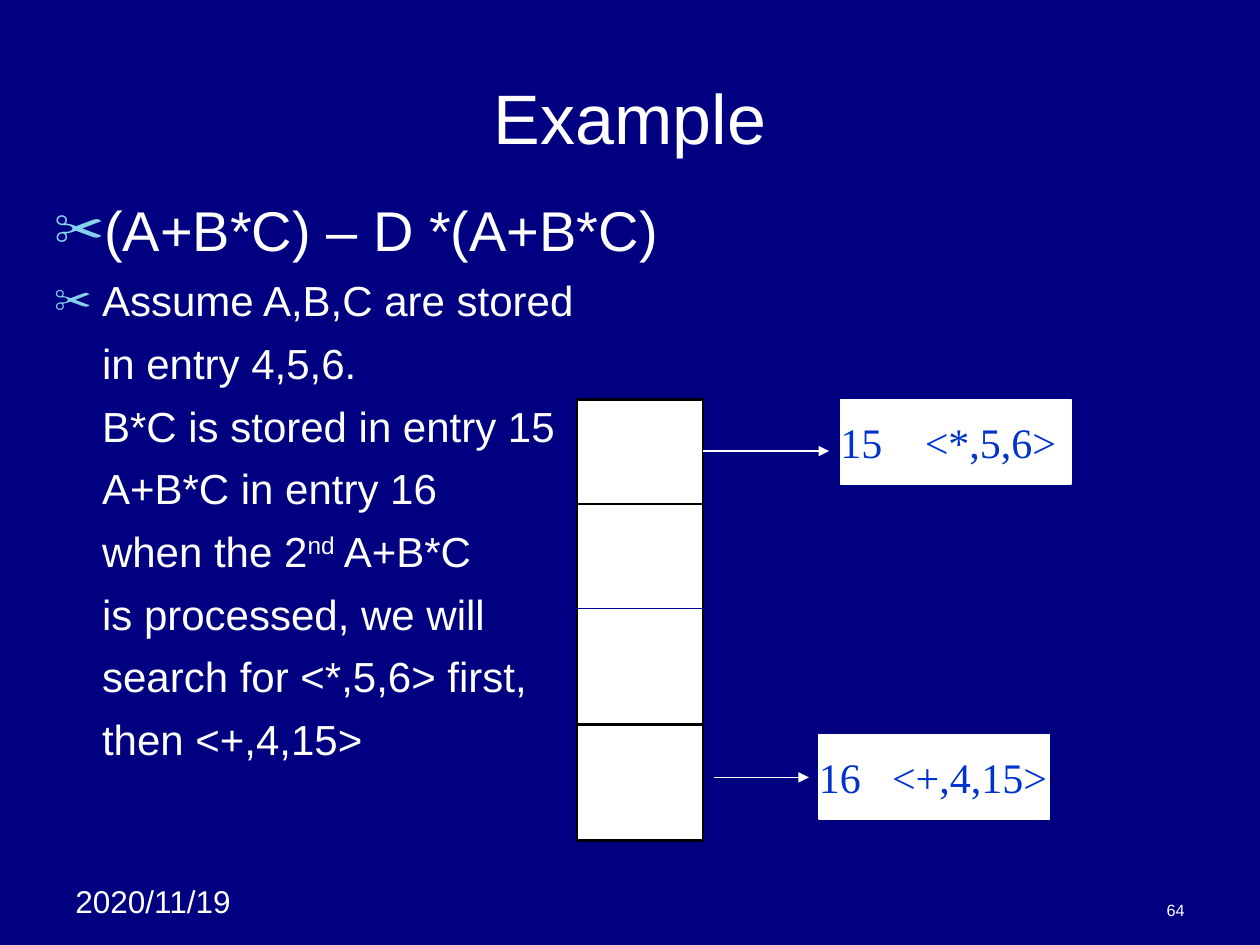
import pptx
import pptx.util
import pptx.dml.color
import pptx.enum.shapes
import pptx.enum.text
import pptx.oxml.ns
from lxml import etree

Inches, Pt = pptx.util.Inches, pptx.util.Pt
RGBColor = pptx.dml.color.RGBColor
ALIGN, ANCHOR = pptx.enum.text.PP_ALIGN, pptx.enum.text.MSO_ANCHOR
qn = pptx.oxml.ns.qn

NAVY = RGBColor(0x00, 0x00, 0x80)
WHITE = RGBColor(0xFF, 0xFF, 0xFF)
BLACK = RGBColor(0x00, 0x00, 0x00)
DIVIDER_BLUE = RGBColor(0x00, 0x00, 0x99)
LABEL_BLUE = RGBColor(0x00, 0x33, 0xCC)
BULLET_BLUE = RGBColor(0x86, 0xD1, 0xEC)

# Content
TITLE = "Example"
EXPRESSION = "(A+B*C) – D *(A+B*C)"
STEPS = [
    "Assume A,B,C are stored",
    "in entry 4,5,6.",
    "B*C is stored in entry 15",
    "A+B*C in entry 16",
    ("when the 2", "nd", " A+B*C"),  # middle part is raised
    "is processed, we will",
    "search for <*,5,6> first,",
    "then <+,4,15>",
]
DATE, PAGE = "2020/11/19", "64"

# Table column: left, top, width, height and the lines dividing it
COLUMN = (4.58, 3.17, 1, 3.5)
DIVIDERS = [(4.83, DIVIDER_BLUE, 1), (4, BLACK, 1.5), (5.75, BLACK, 1.5)]
# Entry text, label position, tab stop, arrow start and end
ENTRIES = [
    ("15\t<*,5,6>", (6.67, 3.17), 0.67, (5.58, 3.58), (6.58, 3.58)),
    ("16\t<+,4,15>", (6.5, 5.83), 0.58, (5.67, 6.17), (6.42, 6.17)),
]
LABEL_SIZE = (1.83, 0.67)
INDENT = 0.38


def place(shape, left, top, width, height):
    shape.left, shape.top = Inches(left), Inches(top)
    shape.width, shape.height = Inches(width), Inches(height)


def style(paragraph, size, color=WHITE, font="Arial"):
    for run in paragraph.runs:
        run.font.size, run.font.name = Pt(size), font
        run.font.color.rgb = color


def indent(paragraph, bulleted):
    props = paragraph._p.get_or_add_pPr()
    props.set("marL", str(Inches(INDENT)))
    props.set("indent", str(-Inches(INDENT) if bulleted else 0))
    if not bulleted:
        etree.SubElement(props, qn("a:buNone"))
        return
    color = etree.SubElement(props, qn("a:buClr"))
    etree.SubElement(color, qn("a:srgbClr"), val=str(BULLET_BLUE))
    etree.SubElement(props, qn("a:buSzPct"), val="90000")
    etree.SubElement(props, qn("a:buChar"), char="✂")


def add_box(slide, bounds, line_color, line_width):
    box = slide.shapes.add_shape(
        pptx.enum.shapes.MSO_SHAPE.RECTANGLE, *map(Inches, bounds))
    box.shadow.inherit = False
    box.fill.solid()
    box.fill.fore_color.rgb = WHITE
    box.line.color.rgb, box.line.width = line_color, Pt(line_width)
    return box


def add_line(slide, start, end, color, width, arrow=False):
    line = slide.shapes.add_connector(
        pptx.enum.shapes.MSO_CONNECTOR.STRAIGHT, *map(Inches, start + end))
    line.line.color.rgb, line.line.width = color, Pt(width)
    if arrow:
        etree.SubElement(line.line._get_or_add_ln(), qn("a:tailEnd"), type="triangle")
    etree.SubElement(line._element.spPr, qn("a:effectLst"))


def add_footer(slide, text, bounds, size, align, anchor):
    frame = slide.shapes.add_textbox(*map(Inches, bounds)).text_frame
    frame.word_wrap, frame.vertical_anchor = True, anchor
    frame.text = text
    frame.paragraphs[0].alignment = align
    style(frame.paragraphs[0], size)


def add_label(slide, text, position, tab):
    frame = add_box(slide, position + LABEL_SIZE, WHITE, 1).text_frame
    frame.word_wrap, frame.vertical_anchor = False, ANCHOR.MIDDLE
    frame.margin_left = frame.margin_right = 0
    frame.text = text
    entry = frame.paragraphs[0]
    entry.alignment = ALIGN.LEFT
    stops = etree.SubElement(entry._p.get_or_add_pPr(), qn("a:tabLst"))
    etree.SubElement(stops, qn("a:tab"), pos=str(Inches(tab)), algn="l")
    style(entry, 24, LABEL_BLUE, "Times New Roman")


def main():
    deck = pptx.Presentation()
    deck.slide_width, deck.slide_height = Inches(10), Inches(7.5)
    slide = deck.slides.add_slide(deck.slide_layouts[1])
    slide.background.fill.solid()
    slide.background.fill.fore_color.rgb = NAVY

    # Footer
    add_footer(slide, DATE, (0.5, 6.95, 1.58, 0.4), 18, ALIGN.LEFT, ANCHOR.TOP)
    add_footer(slide, PAGE, (7.17, 7.08, 2.33, 0.27), 9.3, ALIGN.RIGHT, ANCHOR.BOTTOM)

    # Title
    title = slide.shapes.title
    place(title, 0.5, 0.3, 9, 1.25)
    title.text_frame.text = TITLE
    title.text_frame.vertical_anchor = ANCHOR.MIDDLE
    title.text_frame.paragraphs[0].alignment = ALIGN.CENTER
    style(title.text_frame.paragraphs[0], 40)

    # Explanation
    body = slide.placeholders[1]
    place(body, 0.33, 1.5, 8.92, 5.25)
    explanation = body.text_frame
    explanation.auto_size = pptx.enum.text.MSO_AUTO_SIZE.NONE
    explanation.text = EXPRESSION
    expression = explanation.paragraphs[0]
    indent(expression, True)
    expression.space_before = Pt(0)
    style(expression, 32)
    for number, step in enumerate(STEPS):
        paragraph = explanation.add_paragraph()
        indent(paragraph, number == 0)
        paragraph.space_before = Pt(7)
        if isinstance(step, tuple):
            for part in step:
                paragraph.add_run().text = part
            paragraph.runs[1]._r.get_or_add_rPr().set("baseline", "30000")
        else:
            paragraph.text = step
        style(paragraph, 24)

    # Table column
    add_box(slide, COLUMN, BLACK, 1.5)
    left, right = COLUMN[0], COLUMN[0] + COLUMN[2]
    for y, color, width in DIVIDERS:
        add_line(slide, (left, y), (right, y), color, width)

    # Entries with arrows
    for text, position, tab, start, end in ENTRIES:
        add_label(slide, text, position, tab)
        add_line(slide, start, end, WHITE, 1, arrow=True)

    deck.save("out.pptx")


if __name__ == "__main__":
    main()
